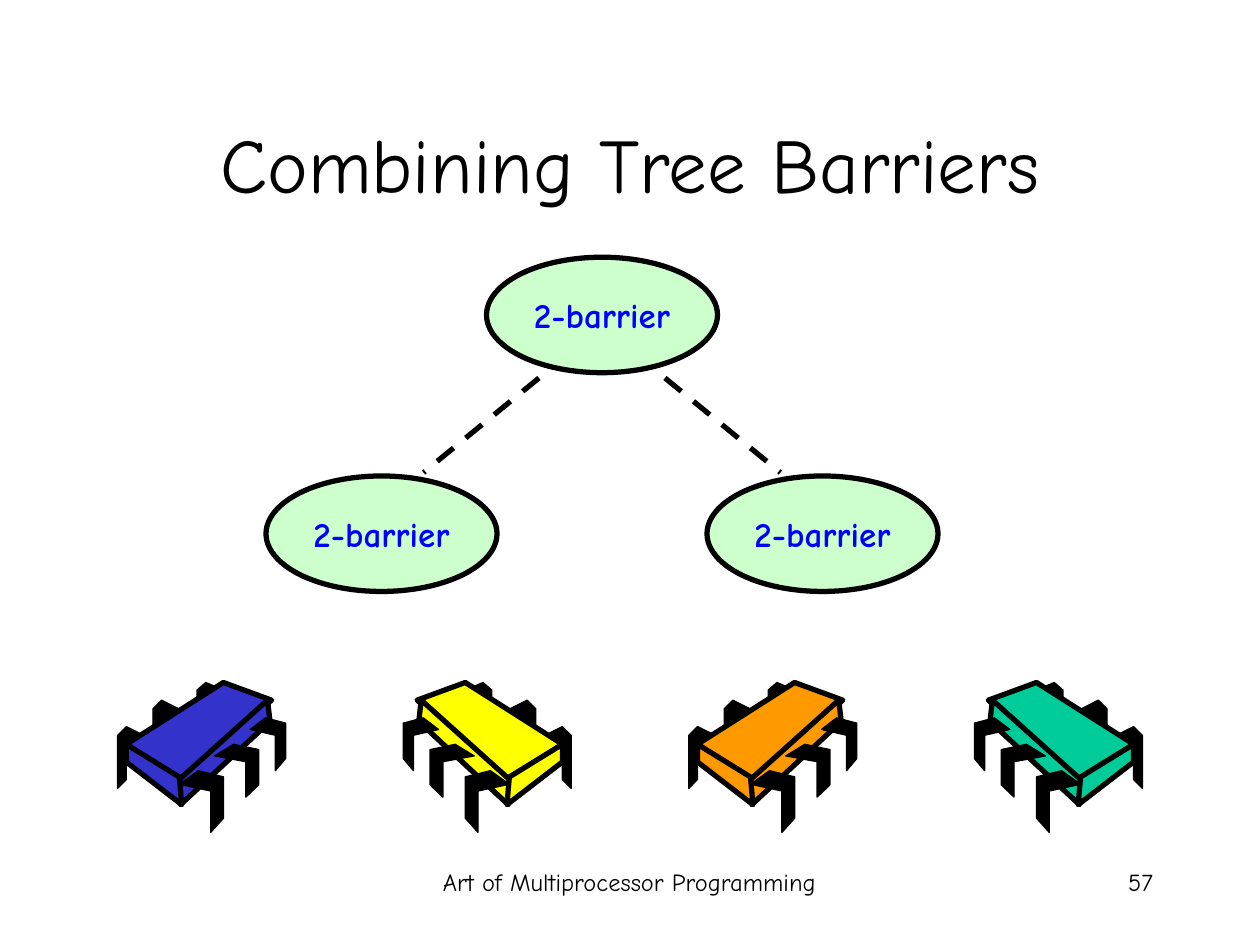
from dataclasses import dataclass

from lxml.etree import SubElement
from pptx import Presentation
from pptx.dml.color import RGBColor
from pptx.enum.dml import MSO_LINE
from pptx.enum.shapes import MSO_CONNECTOR, MSO_SHAPE
from pptx.enum.text import MSO_ANCHOR, PP_ALIGN
from pptx.oxml.ns import qn
from pptx.util import Pt

FONT = "Comic Neue"
BLACK = RGBColor(0x00, 0x00, 0x00)
BLUE = RGBColor(0x00, 0x00, 0xFF)
MINT = RGBColor(0xCC, 0xFF, 0xCC)
INDIGO = RGBColor(0x33, 0x33, 0xCC)
YELLOW = RGBColor(0xFF, 0xFF, 0x00)
ORANGE = RGBColor(0xFF, 0x99, 0x00)
TEAL = RGBColor(0x00, 0xCC, 0x99)

THICK, THIN = 3, 0.75
NODE_W, NODE_H = 132, 66
CHIP_W, CHIP_TOP, CHIP_LEFT, CHIP_STEP = 96, 390, 67.2, 163.2

Points = list[tuple[float, float]]

# Leg outlines on a unit grid, scaled to each leg's box
BACK: Points = [(1, 1/7), (1/3, 0), (0, 1/7), (0, 1), (1/3, 6/7), (1/3, 2/7), (1, 3/7)]
FRONT: Points = [(0.43, 0), (0, 0.22), (0.71, 0.33), (0.71, 1), (1, 0.77), (1, 0.1)]

# Faces of the chip body, in points from the chip's top left
FACES: list[Points] = [
    [(60.5, 0), (5, 35.3), (36, 56.2), (88, 10.1)],
    [(85.7, 10.1), (35.3, 55.4), (36, 69.8), (87.1, 22.3)],
    [(5, 35.3), (5, 45.4), (36.7, 69.8), (35.3, 54)],
]


@dataclass
class Leg:
    x: float
    y: float
    w: float
    h: float


@dataclass
class Label:
    text: str
    x: float
    y: float
    w: float
    h: float
    size: float
    align: PP_ALIGN
    anchor: MSO_ANCHOR = MSO_ANCHOR.TOP


BACK_LEGS = [Leg(0, 25.2, 15, 35.3), Leg(20.2, 10.1, 15, 35.3), Leg(45.4, 0, 15, 30.2)]
FRONT_LEGS = [Leg(35.3, 50.4, 25.2, 35.3), Leg(55.4, 35.3, 25.2, 30.2),
              Leg(75.8, 20.2, 20.2, 30.2)]
NODES = [(278, 147), (152, 272), (404, 272)]
EDGES = [(380, 446), (308, 242)]
CHIPS = [INDIGO, YELLOW, ORANGE, TEAL]
LABELS = [
    Label("Combining Tree Barriers", 54, 48, 612, 90, 44, PP_ALIGN.CENTER,
          MSO_ANCHOR.MIDDLE),
    Label("Art of Multiprocessor Programming", 246, 492, 228, 36, 14, PP_ALIGN.LEFT),
    Label("57", 516, 492, 150, 36, 14, PP_ALIGN.RIGHT),
]


def style(shape, fill: RGBColor, width: float) -> None:
    shape.shadow.inherit = False
    shape.fill.solid()
    shape.fill.fore_color.rgb = fill
    shape.line.color.rgb = BLACK
    shape.line.width = Pt(width)


def write(shape, text: str, size: float, color: RGBColor, align: PP_ALIGN,
          anchor: MSO_ANCHOR, bold: bool = False, wrap: bool = True) -> None:
    frame = shape.text_frame
    frame.word_wrap = wrap
    frame.vertical_anchor = anchor
    para = frame.paragraphs[0]
    para.text = text
    para.alignment = align
    font = para.font
    font.name, font.size, font.bold = FONT, Pt(size), bold
    font.color.rgb = color


def draw_label(shapes, label: Label) -> None:
    box = shapes.add_textbox(Pt(label.x), Pt(label.y), Pt(label.w), Pt(label.h))
    write(box, label.text, label.size, BLACK, label.align, label.anchor)


def draw_node(shapes, x: float, y: float) -> None:
    node = shapes.add_shape(MSO_SHAPE.OVAL, Pt(x), Pt(y), Pt(NODE_W), Pt(NODE_H))
    style(node, MINT, THICK)
    write(node, "2-barrier", 20, BLUE, PP_ALIGN.CENTER, MSO_ANCHOR.MIDDLE,
          bold=True, wrap=False)


def draw_edge(shapes, start: float, end: float) -> None:
    edge = shapes.add_connector(MSO_CONNECTOR.STRAIGHT, Pt(start), Pt(216),
                                Pt(end), Pt(270))
    edge.line.color.rgb = BLACK
    edge.line.width = Pt(THICK)
    edge.line.dash_style = MSO_LINE.DASH
    SubElement(edge._element.spPr, qn("a:effectLst"))


def draw_chip(shapes, left: float, color: RGBColor, flip: bool) -> None:
    """Draw a chip with its legs, mirrored left to right if flip is set."""
    group = shapes.add_group_shape().shapes

    def outline(points: Points, fill: RGBColor, width: float) -> None:
        spots = [(Pt(left + (CHIP_W - x if flip else x)), Pt(CHIP_TOP + y))
                 for x, y in points]
        pen = group.build_freeform(*spots[0])
        pen.add_line_segments(spots[1:], close=True)
        style(pen.convert_to_shape(), fill, width)

    def stand(legs: list[Leg], unit: Points) -> None:
        for leg in legs:
            outline([(leg.x + u * leg.w, leg.y + v * leg.h) for u, v in unit],
                    BLACK, THIN)

    stand(BACK_LEGS, BACK)
    for face in FACES:
        outline(face, color, THICK)
    stand(FRONT_LEGS, FRONT)


def main() -> None:
    deck = Presentation()
    deck.slide_width, deck.slide_height = Pt(720), Pt(540)
    shapes = deck.slides.add_slide(deck.slide_layouts[6]).shapes
    for label in LABELS:
        draw_label(shapes, label)
    for start, end in EDGES:
        draw_edge(shapes, start, end)
    for x, y in NODES:
        draw_node(shapes, x, y)
    for i, color in enumerate(CHIPS):
        draw_chip(shapes, CHIP_LEFT + i * CHIP_STEP, color, flip=i % 2 == 1)
    deck.save("out.pptx")


if __name__ == "__main__":
    main()
